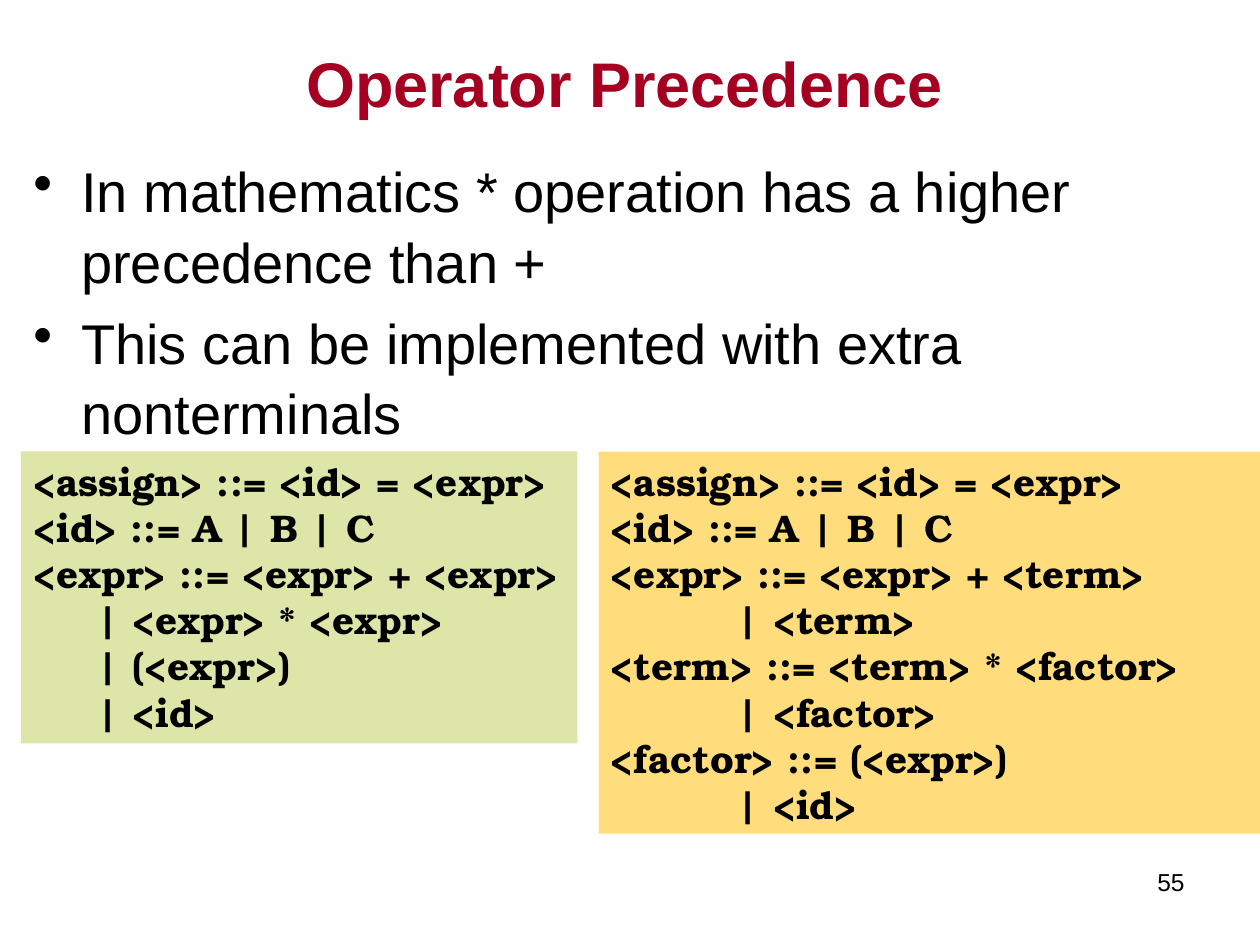
import pptx
import pptx.dml.color
import pptx.enum.shapes
import pptx.enum.text
import pptx.oxml
import pptx.oxml.ns
import pptx.util

ALIGN = pptx.enum.text.PP_ALIGN
ANCHOR = pptx.enum.text.MSO_ANCHOR
COLUMNS, ROWS = 60, 45

TITLE = {"size": 36, "name": "Arial", "bold": True, "color": "A50021"}
BODY = {"size": 32, "name": "Arial", "bold": False, "color": "000000"}
CODE = {"size": 22, "name": "TeX Gyre Bonum", "bold": True, "color": "000000"}
NUMBER = {"size": 14, "name": "Arial", "bold": False, "color": "000000"}

POINTS = ["In mathematics * operation has a higher precedence than +",
          "This can be implemented with extra nonterminals"]
AMBIGUOUS = ["<assign> ::= <id> = <expr>",
             "<id> ::= A | B | C",
             "<expr> ::= <expr> + <expr>",
             "\t| <expr> * <expr>",
             "\t| (<expr>)",
             "\t| <id>"]
LAYERED = ["<assign> ::= <id> = <expr>",
           "<id> ::= A | B | C",
           "<expr> ::= <expr> + <term>",
           "\t\t| <term>",
           "<term> ::= <term> * <factor>",
           "\t\t| <factor>",
           "<factor> ::= (<expr>)",
           "\t\t| <id>"]


def color(value):
    return pptx.dml.color.RGBColor.from_string(value)


class Page:
    def __init__(self, deck):
        self.deck = deck
        self.page = deck.slides.add_slide(deck.slide_layouts[6])

    def place(self, left, top, width, height):
        column = self.deck.slide_width / COLUMNS
        row = self.deck.slide_height / ROWS
        return [round(share) for share in
                (left * column, top * row, width * column, height * row)]

    def fill_text(self, box, lines, style, align=ALIGN.LEFT, anchor=ANCHOR.TOP):
        frame = box.text_frame
        frame.word_wrap = True
        frame.vertical_anchor = anchor
        for index, line in enumerate(lines):
            para = frame.paragraphs[0] if index == 0 else frame.add_paragraph()
            para.alignment = align
            span = para.add_run()
            span.text = line
            formats = {"size": pptx.util.Pt(style["size"]),
                       "name": style["name"], "bold": style["bold"]}
            for key, value in formats.items():
                setattr(span.font, key, value)
            span.font.color.rgb = color(style["color"])
        return frame.paragraphs

    def text(self, area, lines, style, **options):
        box = self.page.shapes.add_textbox(*self.place(*area))
        return self.fill_text(box, lines, style, **options)

    def bullets(self, area, lines, style):
        for index, para in enumerate(self.text(area, lines, style)):
            para.line_spacing = 1.05
            para.space_before = pptx.util.Pt(6 if index else 0)
            properties = para._p.get_or_add_pPr()
            indent = pptx.util.Inches(0.38)
            properties.set("marL", str(indent))
            properties.set("indent", str(-indent))
            bullet = pptx.oxml.parse_xml(
                f'<a:buChar {pptx.oxml.ns.nsdecls("a")} char="•"/>')
            properties.append(bullet)

    def panel(self, area, lines, style, fill):
        box = self.page.shapes.add_shape(
            pptx.enum.shapes.MSO_SHAPE.RECTANGLE, *self.place(*area))
        box.shadow.inherit = False
        box.fill.solid()
        box.fill.fore_color.rgb = color(fill)
        box.line.fill.background()
        self.fill_text(box, lines, style)
        box.text_frame.auto_size = pptx.enum.text.MSO_AUTO_SIZE.SHAPE_TO_FIT_TEXT


def main():
    deck = pptx.Presentation()
    deck.slide_width = pptx.util.Inches(10)
    deck.slide_height = pptx.util.Inches(7.5)
    page = Page(deck)
    page.text((1, 1.8, 57.5, 4.2), ["Operator Precedence"], TITLE,
              align=ALIGN.CENTER, anchor=ANCHOR.MIDDLE)
    page.bullets((1, 7, 57.5, 31.4), POINTS, BODY)
    page.panel((28.5, 21.5, 31.5, 18.2), LAYERED, CODE, "FFDD7D")
    page.panel((1, 21.5, 26.5, 13.9), AMBIGUOUS, CODE, "DEE5A9")
    page.text((43, 41, 14, 3.1), ["55"], NUMBER, align=ALIGN.RIGHT)
    deck.save("out.pptx")


if __name__ == "__main__":
    main()
